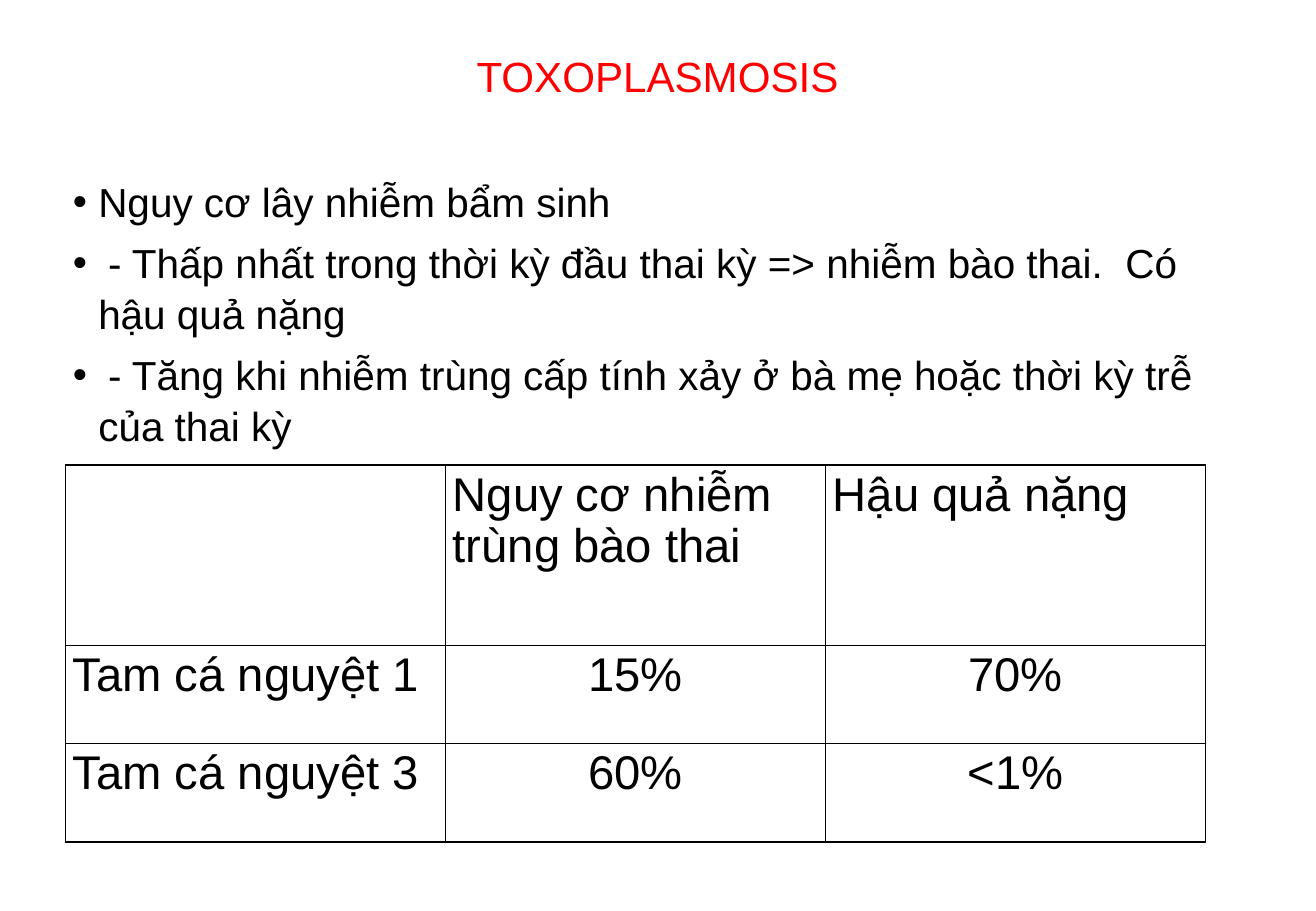
"""Build the toxoplasmosis slide: title, risk bullets and a table of risk by trimester."""
from lxml import etree
from pptx import Presentation
from pptx.dml.color import RGBColor
from pptx.enum.text import MSO_ANCHOR, PP_ALIGN
from pptx.oxml.ns import qn
from pptx.util import Inches, Pt

LEFT, CENTER = PP_ALIGN.LEFT, PP_ALIGN.CENTER
TOP, MIDDLE = MSO_ANCHOR.TOP, MSO_ANCHOR.MIDDLE
THEME = {
    "font": "Arial", "title": 25, "body": 24, "table": 28,
    "red": RGBColor(255, 0, 0), "black": RGBColor(0, 0, 0),
    "border": "000000", "outer": 1.08, "inner": 0.45,
}
MARGIN = 0.54
HANG = 0.21
DASH_TAB = 0.29


def write(tf, lines, size, color=THEME["black"], align=LEFT, before=0, spacing=1.0, bullet=False):
    """Fill a text frame with one paragraph per line."""
    for i, line in enumerate(lines):
        p = tf.paragraphs[0] if i == 0 else tf.add_paragraph()
        p.alignment = align
        p.line_spacing = spacing
        if i:
            p.space_before = Pt(before)
        if bullet:
            pPr = p._p.get_or_add_pPr()
            pPr.set("marL", str(Inches(HANG)))
            pPr.set("indent", str(-Inches(HANG)))
            etree.SubElement(pPr, qn("a:buFont"), typeface=THEME["font"])
            etree.SubElement(pPr, qn("a:buChar"), char="•")
            tabs = etree.SubElement(pPr, qn("a:tabLst"))
            etree.SubElement(tabs, qn("a:tab"), pos=str(Inches(DASH_TAB)), algn="l")
        r = p.add_run()
        r.text = line
        r.font.name, r.font.size, r.font.color.rgb = THEME["font"], Pt(size), color


prs = Presentation()
prs.slide_width, prs.slide_height = Inches(10.84), Inches(7.5)
s = prs.slides.add_slide(prs.slide_layouts[6])

bullets = [
    "Nguy cơ lây nhiễm bẩm sinh",
    "\t- Thấp nhất trong thời kỳ đầu thai kỳ => nhiễm bào thai.  Có hậu quả nặng",
    "\t- Tăng khi nhiễm trùng cấp tính xảy ở bà mẹ hoặc thời kỳ trễ của thai kỳ",
]
texts = [
    (0, 9.75, 1.25, MIDDLE, ["TOXOPLASMOSIS"],
     dict(size=THEME["title"], color=THEME["red"], align=CENTER)),
    (1.41, 9.66, 2.4, TOP, bullets,
     dict(size=THEME["body"], before=6, spacing=1.05, bullet=True)),
]
for top, width, height, anchor, lines, style in texts:
    sp = s.shapes.add_textbox(Inches(MARGIN), Inches(top), Inches(width), Inches(height))
    tf = sp.text_frame
    tf.word_wrap, tf.vertical_anchor = True, anchor
    tf.margin_left = tf.margin_right = Inches(0.06)
    tf.margin_top = tf.margin_bottom = Inches(0.03)
    write(tf, lines, **style)

rows = [
    ["", "Nguy cơ nhiễm trùng bào thai", "Hậu quả nặng"],
    ["Tam cá nguyệt 1", "15%", "70%"],
    ["Tam cá nguyệt 3", "60%", "<1%"],
]
heights = [1.48, 0.81, 0.81]
col_width = 3.13
last = len(rows) - 1
table = s.shapes.add_table(
    len(rows), len(rows[0]), Inches(MARGIN), Inches(3.83),
    Inches(col_width * len(rows[0])), Inches(sum(heights))).table
table.first_row = table.horz_banding = False
for col in table.columns:
    col.width = Inches(col_width)
for i, (row, height) in enumerate(zip(rows, heights)):
    table.rows[i].height = Inches(height)
    for j, text in enumerate(row):
        cell = table.cell(i, j)
        cell.margin_left = cell.margin_right = Inches(0.06)
        cell.margin_top = cell.margin_bottom = Inches(0.05)
        tcPr = cell._tc.get_or_add_tcPr()
        edges = {"a:lnL": j == 0, "a:lnR": j == last, "a:lnT": i == 0, "a:lnB": i == last}
        for tag, outer in edges.items():
            width = Pt(THEME["outer" if outer else "inner"])
            ln = etree.SubElement(tcPr, qn(tag), w=str(width))
            fill = etree.SubElement(ln, qn("a:solidFill"))
            etree.SubElement(fill, qn("a:srgbClr"), val=THEME["border"])
        cell.fill.background()
        if text:
            write(cell.text_frame, [text], THEME["table"],
                  align=CENTER if i and j else LEFT, spacing=0.96)

prs.save("out.pptx")
